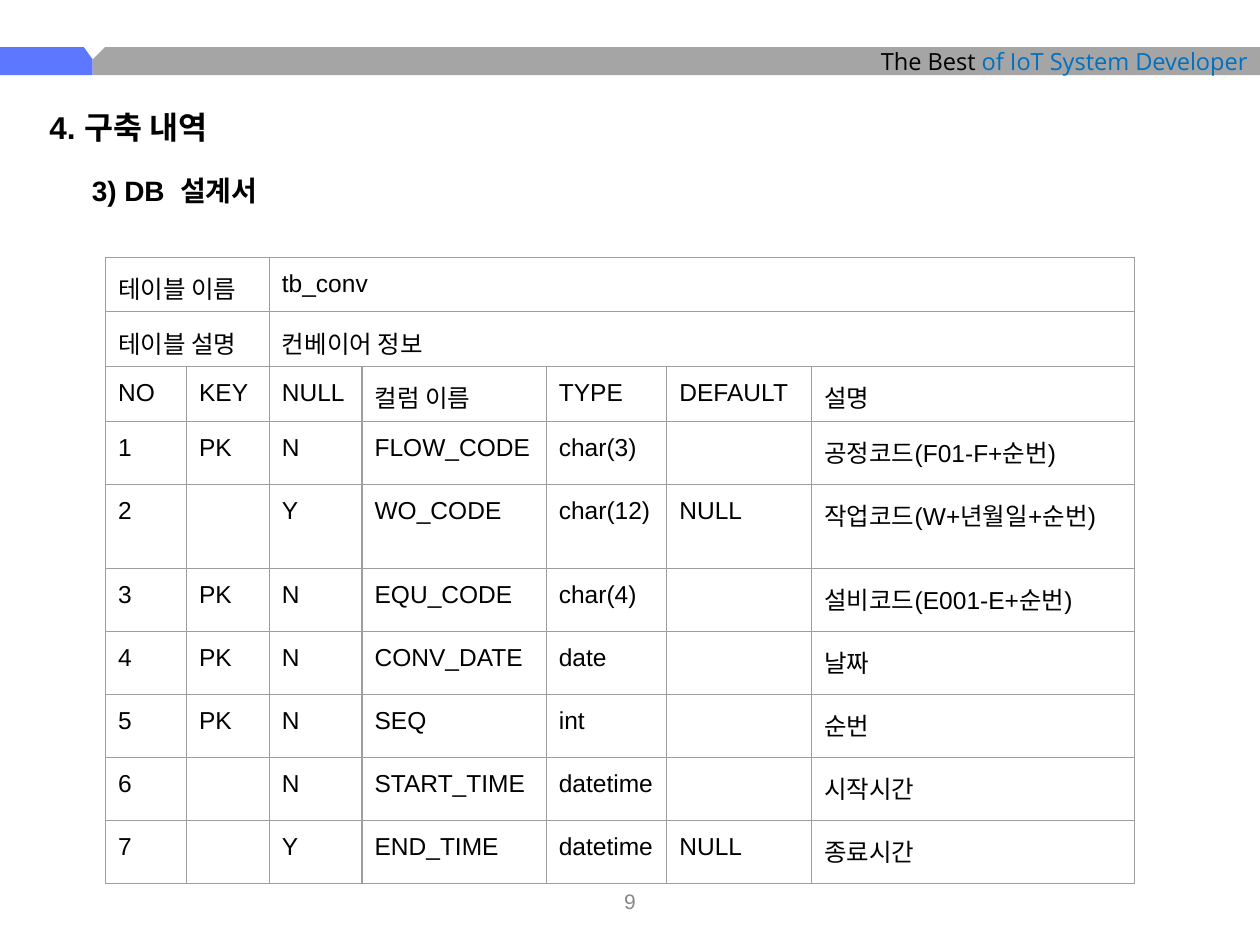
import pptx
import pptx.util
import pptx.dml.color
import pptx.enum.text
import pptx.oxml
import pptx.oxml.ns

Pt = pptx.util.Pt
RGB = pptx.dml.color.RGBColor
ALIGN = pptx.enum.text.PP_ALIGN
ANCHOR = pptx.enum.text.MSO_ANCHOR

BLACK = RGB(0x00, 0x00, 0x00)
BLUE = RGB(0x5D, 0x78, 0xFF)
GRAY = RGB(0xA5, 0xA5, 0xA5)
LINK = RGB(0x00, 0x70, 0xC0)
PAGE = RGB(0x88, 0x88, 0x88)
EDGE = "9E9E9E"

WIDTHS = [46.3, 47.3, 53, 105.3, 68.9, 82.8, 184.6]
TOP = [("테이블 이름", "tb_conv"), ("테이블 설명", "컨베이어 정보")]
ROWS = [
    ("NO", "KEY", "NULL", "컬럼 이름", "TYPE", "DEFAULT", "설명"),
    ("1", "PK", "N", "FLOW_CODE", "char(3)", "", "공정코드(F01-F+순번)"),
    ("2", "", "Y", "WO_CODE", "char(12)", "NULL", "작업코드(W+년월일+순번)"),
    ("3", "PK", "N", "EQU_CODE", "char(4)", "", "설비코드(E001-E+순번)"),
    ("4", "PK", "N", "CONV_DATE", "date", "", "날짜"),
    ("5", "PK", "N", "SEQ", "int", "", "순번"),
    ("6", "", "N", "START_TIME", "datetime", "", "시작시간"),
    ("7", "", "Y", "END_TIME", "datetime", "NULL", "종료시간"),
]


def style(font, size, color, bold=False, name="Arial"):
    font.size = Pt(size)
    font.name = name
    font.bold = bold
    font.color.rgb = color


def add_poly(slide, points, color):
    pen = slide.shapes.build_freeform(*points[0], scale=Pt(1))
    pen.add_line_segments(points[1:], close=True)
    shape = pen.convert_to_shape()
    shape.shadow.inherit = False
    shape.fill.solid()
    shape.fill.fore_color.rgb = color
    shape.line.fill.background()
    return shape


def add_banner(slide, left, top, width, height):
    right, base, mid = left + width, top + height, top + 7.2
    notch = left + 53.3
    add_poly(slide, [(left, top), (notch - 5.5, top), (notch, mid),
                     (notch, base), (left, base)], BLUE)
    bar = add_poly(slide, [(notch + 7.2, top), (right, top), (right, base),
                           (notch, base), (notch, mid)], GRAY)
    frame = bar.text_frame
    frame.word_wrap = True
    frame.vertical_anchor = ANCHOR.MIDDLE
    para = frame.paragraphs[0]
    para.alignment = ALIGN.RIGHT
    for text, color in [("The Best ", BLACK), ("of IoT System Developer", LINK)]:
        run = para.add_run()
        run.text = text
        style(run.font, 13.5, color, name="Open Sans")


def add_label(slide, box, text, size, color=BLACK, bold=True,
              align=ALIGN.LEFT, anchor=ANCHOR.TOP, wrap=False):
    frame = slide.shapes.add_textbox(*map(Pt, box)).text_frame
    frame.word_wrap = wrap
    frame.vertical_anchor = anchor
    para = frame.paragraphs[0]
    para.text = text
    para.alignment = align
    style(para.font, size, color, bold)


def add_edges(cell):
    props = cell._tc.get_or_add_tcPr()
    for spot, side in enumerate(("lnL", "lnR", "lnT", "lnB")):
        props.insert(spot, pptx.oxml.parse_xml(
            f'<a:{side} {pptx.oxml.ns.nsdecls("a")} w="{Pt(0.75)}">'
            f'<a:solidFill><a:srgbClr val="{EDGE}"/></a:solidFill></a:{side}>'))


def fill_cell(cell, text):
    cell.margin_left = cell.margin_right = Pt(7.2)
    cell.margin_top = cell.margin_bottom = Pt(7.2)
    para = cell.text_frame.paragraphs[0]
    if text:
        para.text = text
    style(para.font, 14, BLACK)


def add_schema(slide, left, top):
    heads = len(TOP) + 1
    count = len(TOP) + len(ROWS)
    sizes = [31 if i < heads else 36 for i in range(count)]
    table = slide.shapes.add_table(
        count, len(WIDTHS), Pt(left), Pt(top),
        Pt(sum(WIDTHS)), Pt(sum(sizes))).table
    table.first_row = table.horz_banding = False
    for col, width in zip(table.columns, WIDTHS):
        col.width = Pt(width)
    for row, size in zip(table.rows, sizes):
        row.height = Pt(size)
    for cell in table.iter_cells():
        cell.fill.background()
        add_edges(cell)
    for i, (name, value) in enumerate(TOP):
        table.cell(i, 0).merge(table.cell(i, 1))
        table.cell(i, 2).merge(table.cell(i, len(WIDTHS) - 1))
        fill_cell(table.cell(i, 0), name)
        fill_cell(table.cell(i, 2), value)
    for i, texts in enumerate(ROWS, len(TOP)):
        for j, text in enumerate(texts):
            fill_cell(table.cell(i, j), text)


def main():
    deck = pptx.Presentation()
    deck.slide_width, deck.slide_height = Pt(720), Pt(540)
    slide = deck.slides.add_slide(deck.slide_layouts[6])
    add_banner(slide, 0, 27.2, 720, 15.7)
    add_label(slide, (279, 500.5, 162, 28.8), "9", 12, PAGE, False,
              ALIGN.CENTER, ANCHOR.MIDDLE, True)
    add_label(slide, (21.2, 58.3, 112.3, 28.8), "4. 구축 내역", 18)
    add_label(slide, (45.4, 95.8, 117.4, 26.6), "3) DB  설계서", 16)
    add_schema(slide, 60.3, 147)
    deck.save("out.pptx")


if __name__ == "__main__":
    main()
